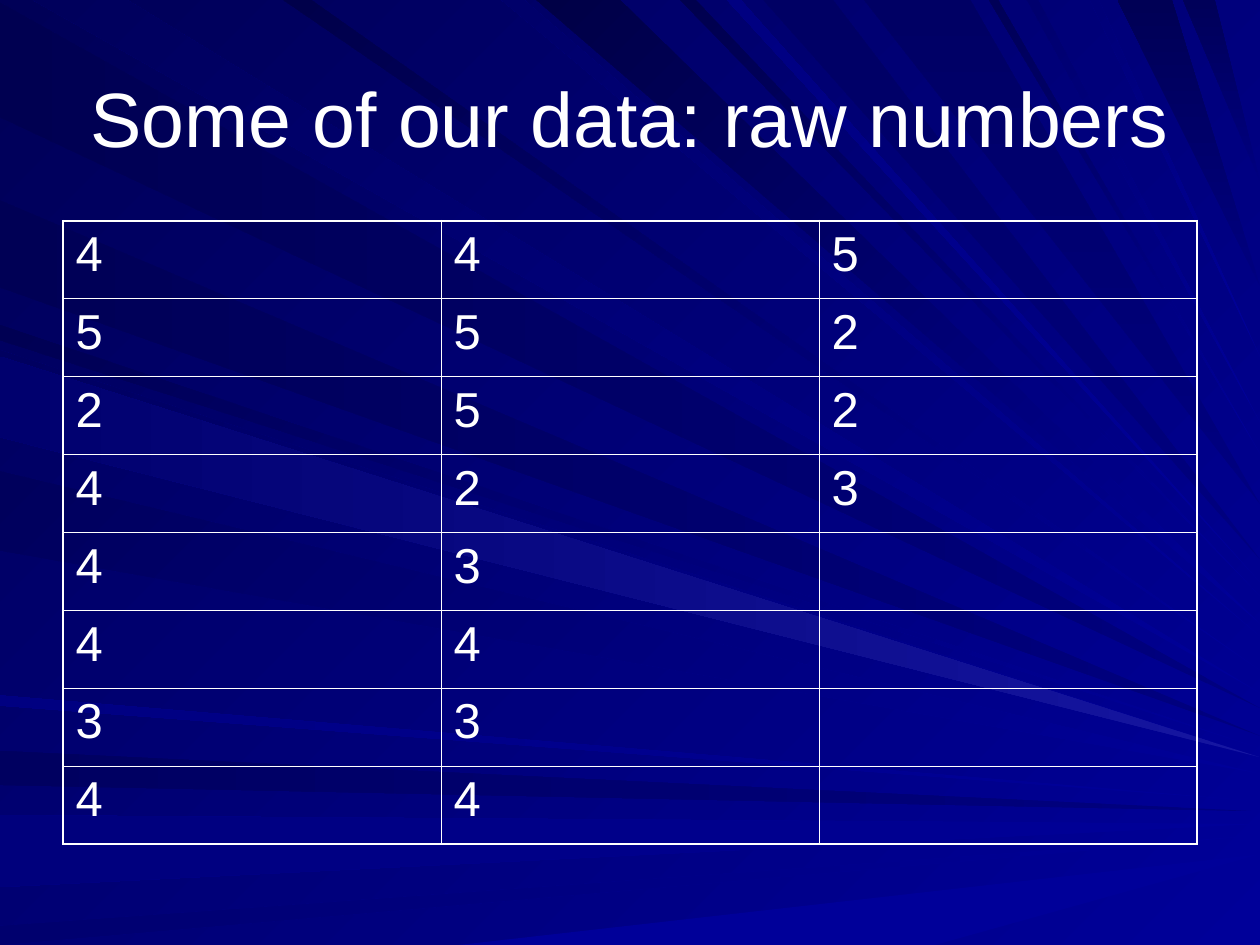
from lxml import etree
from pptx import Presentation
from pptx import util as u
from pptx.dml.color import RGBColor
from pptx.enum import text
from pptx.oxml.ns import qn

WHITE = "FFFFFF"
RIGHT, BOTTOM = 1000, 750
FOCUS_X, FOCUS_Y = 1170, 650
RAY_GROUPS = [
    ("left", 180, "000080", [(2, 93, "000051"), (596, 623, "000060"), (159, 228, "000055")]),
    ("top", 270, "000080", [(606, 661, "000064"), (686, 770, "000064"),
                            (887, 930, "000055"), (939, 964, "000059")]),
    ("left", 180, "000099", [(647, 704, "00007C"), (735, 750, "00006E"), (552, 560, "000081")]),
    ("bottom", 180, "000099", [(364, 742, "000099")]),
    ("left", 225, "000099", [(258, 270, "000053"), (278, 342, "000060"), (374, 437, "00005C")]),
    ("top", 225, "000099", [(26, 101, "00005C"), (225, 247, "00004A"), (398, 416, "00006A"),
                            (426, 492, "000046"), (540, 552, "00004E"), (577, 588, "000081"),
                            (785, 792, "000057"), (815, 824, "00006E"), (865, 872, "000078")]),
    ("left", 180, "1616A1", [(283, 347, "00006E")]),
]
RAW_NUMBERS = ["445", "552", "252", "423", "43", "44", "33", "44"]


def colour(value):
    """Turn a hex string into a colour."""
    return RGBColor.from_string(value)


def paint(fill, angle, start, end):
    """Fill with a gradient whose angle runs clockwise."""
    fill.gradient()
    fill.gradient_angle = 360 - angle
    for stop, value in zip(fill.gradient_stops, (start, end)):
        stop.color.rgb = colour(value)


def add_run(paragraph, content, size):
    """Add one white Arial run."""
    run = paragraph.add_run()
    run.text = content
    run.font.name = "Arial"
    run.font.size = u.Pt(size)
    run.font.color.rgb = colour(WHITE)


def ray_corners(edge, near, far):
    """Return a ray from a slide edge to the right side, aimed at the common focus."""
    if edge == "left":
        base = [(0, near), (0, far)]
    else:
        level = 0 if edge == "top" else BOTTOM
        base = [(near, level), (far, level)]
    middle_x, middle_y = (sum(values) / 2 for values in zip(*base))
    slope = (FOCUS_Y - middle_y) / (FOCUS_X - middle_x)
    return base + [(RIGHT, middle_y + slope * (RIGHT - middle_x))]


def add_rays(slide, left, top, width):
    """Draw the background rays as one group, scaled to the given width."""
    rays = slide.shapes.add_group_shape()
    for edge, angle, head, members in RAY_GROUPS:
        for near, far, tail in members:
            corners = ray_corners(edge, near, far)
            builder = rays.shapes.build_freeform(*corners[0], scale=width / RIGHT)
            builder.add_line_segments(corners[1:], close=True)
            shape = builder.convert_to_shape(left, top)
            shape.shadow.inherit = False
            shape.line.fill.background()
            paint(shape.fill, angle, head, tail)


def add_title(slide, left, top, width, height):
    """Place the centred slide title."""
    frame = slide.shapes.add_textbox(left, top, width, height).text_frame
    frame.word_wrap = True
    frame.vertical_anchor = text.MSO_ANCHOR.MIDDLE
    paragraph = frame.paragraphs[0]
    paragraph.alignment = text.PP_ALIGN.CENTER
    add_run(paragraph, "Some of our data: raw numbers", 44)


def set_borders(cell, outer_sides):
    """Rule all four sides of a cell, heavier on the outer ones."""
    properties = cell._tc.get_or_add_tcPr()
    for index, side in enumerate("LRTB"):
        points = 1.08 if side in outer_sides else 0.45
        line = etree.Element(qn(f"a:ln{side}"), w=str(u.Pt(points)))
        fill = etree.SubElement(line, qn("a:solidFill"))
        etree.SubElement(fill, qn("a:srgbClr"), val=WHITE)
        properties.insert(index, line)


def add_number_table(slide, left, top, width, height):
    """Place the table of raw numbers in equal rows and columns."""
    row_count, column_count = len(RAW_NUMBERS), len(RAW_NUMBERS[0])
    table = slide.shapes.add_table(row_count, column_count, left, top, width, height).table
    table.first_row = table.horz_banding = False
    for row, numbers in enumerate(RAW_NUMBERS):
        for column in range(column_count):
            cell = table.cell(row, column)
            cell.fill.background()
            edges = {"L": column == 0, "R": column == column_count - 1,
                     "T": row == 0, "B": row == row_count - 1}
            set_borders(cell, [side for side, outer in edges.items() if outer])
            if column < len(numbers):
                paragraph = cell.text_frame.paragraphs[0]
                paragraph.space_before = u.Pt(7)
                add_run(paragraph, numbers[column], 28)


def main():
    """Build and save the presentation."""
    presentation = Presentation()
    presentation.slide_width = u.Cm(25.4)
    presentation.slide_height = u.Cm(19.05)
    slide = presentation.slides.add_slide(presentation.slide_layouts[6])
    paint(slide.background.fill, 225, "000099", "000057")
    add_rays(slide, 0, 0, presentation.slide_width)
    add_title(slide, u.Cm(1.27), u.Cm(0.76), u.Cm(22.86), u.Cm(3.18))
    add_number_table(slide, u.Cm(1.27), u.Cm(4.45), u.Cm(22.86), u.Cm(12.57))
    presentation.save("out.pptx")


if __name__ == "__main__":
    main()
